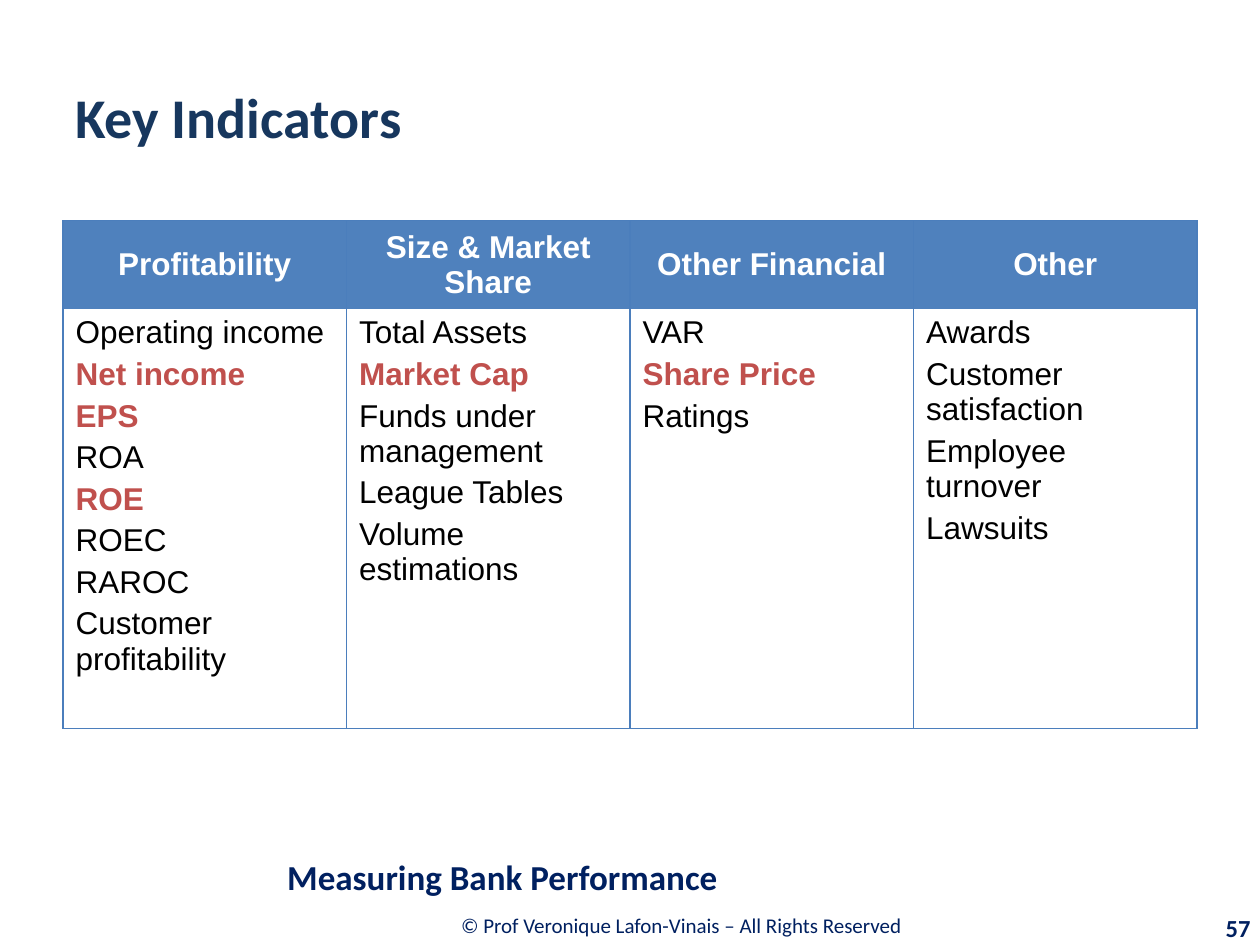
from lxml.etree import SubElement
from pptx import Presentation
from pptx.dml.color import RGBColor
from pptx.enum.text import MSO_ANCHOR, PP_ALIGN
from pptx.oxml.ns import qn
from pptx.util import Cm, Pt

COLORS = {
    "title": "17375E",
    "navy": "002060",
    "header": "4F81BD",
    "border": "4B7EBC",
    "accent": "C0504D",
    "black": "000000",
    "white": "FFFFFF",
}
NO_STYLE_NO_GRID = "{2D5ABB26-0587-4C30-8999-92F81FD0307C}"

INDICATORS = {
    "Profitability": ["Operating income", "Net income", "EPS", "ROA", "ROE",
                      "ROEC", "RAROC", "Customer profitability"],
    "Size & Market Share": ["Total Assets", "Market Cap",
                            "Funds under management", "League Tables",
                            "Volume estimations"],
    "Other Financial": ["VAR", "Share Price", "Ratings"],
    "Other": ["Awards", "Customer satisfaction", "Employee turnover",
              "Lawsuits"],
}
HIGHLIGHTED = {"Net income", "EPS", "ROE", "Market Cap", "Share Price"}


def rgb(name):
    return RGBColor.from_string(COLORS[name])


class SlideBuilder:
    heading_font = "Calibri"
    table_font = "Arial"
    table_size = 18

    def __init__(self, slide):
        self.slide = slide

    def format_run(self, p, font, size, color, bold):
        f = p.runs[0].font
        f.name, f.size, f.bold = font, Pt(size), bold
        f.color.rgb = rgb(color)

    def text(self, text, box, size, color="navy", bold=True,
             align=PP_ALIGN.LEFT):
        tb = self.slide.shapes.add_textbox(*(Cm(v) for v in box))
        tf = tb.text_frame
        tf.word_wrap = True
        tf.vertical_anchor = MSO_ANCHOR.MIDDLE
        tf.text = text
        p = tf.paragraphs[0]
        p.alignment = align
        self.format_run(p, self.heading_font, size, color, bold)

    def borders(self, cell, sides):
        """Draw the given sides, listed in schema order: L, R, T, B."""
        tcPr = cell._tc.get_or_add_tcPr()
        for i, side in enumerate(sides):
            ln = SubElement(tcPr, qn(f"a:ln{side}"), w=str(Pt(0.75)))
            fill = SubElement(ln, qn("a:solidFill"))
            SubElement(fill, qn("a:srgbClr"), val=COLORS["border"])
            tcPr.insert(i, ln)

    def header_cell(self, cell, text):
        cell.fill.solid()
        cell.fill.fore_color.rgb = rgb("header")
        cell.vertical_anchor = MSO_ANCHOR.MIDDLE
        cell.text = text
        p = cell.text_frame.paragraphs[0]
        p.alignment = PP_ALIGN.CENTER
        self.format_run(p, self.table_font, self.table_size, "white", True)
        self.borders(cell, "LRT")

    def list_cell(self, cell, items):
        cell.fill.background()
        tf = cell.text_frame
        tf.text = "\n".join(items)
        for i, p in enumerate(tf.paragraphs):
            if i:
                p.space_before = Pt(3.6)
            bold = p.text in HIGHLIGHTED
            self.format_run(p, self.table_font, self.table_size,
                            "accent" if bold else "black", bold)
        self.borders(cell, "LRB")

    def table(self, columns, left, top, width, row_heights):
        table = self.slide.shapes.add_table(
            len(row_heights), len(columns), Cm(left), Cm(top), Cm(width),
            Cm(sum(row_heights))).table
        table._tbl.tblPr.find(qn("a:tableStyleId")).text = NO_STYLE_NO_GRID
        table.horz_banding = False
        for row, height in zip(table.rows, row_heights):
            row.height = Cm(height)
        for col, (heading, items) in enumerate(columns.items()):
            self.header_cell(table.cell(0, col), heading)
            self.list_cell(table.cell(1, col), items)


def main():
    prs = Presentation()
    prs.slide_width, prs.slide_height = Cm(25.4), Cm(19.05)
    s = SlideBuilder(prs.slides.add_slide(prs.slide_layouts[6]))

    s.text("© Prof Veronique Lafon-Vinais – All Rights Reserved",
           (5.51, 18.16, 16.46, 0.99), 12, bold=False, align=PP_ALIGN.CENTER)
    s.text("Key Indicators", (1.27, 0.76, 22.86, 3.18), 32, "title")
    s.table(INDICATORS, 1.27, 4.45, 22.86, (1.67, 8.45))
    s.text("57", (22.89, 18.29, 2.57, 0.81), 14, align=PP_ALIGN.RIGHT)
    s.text("Measuring Bank Performance", (5.54, 17.07, 19.86, 1.19), 20)

    prs.save("out.pptx")


if __name__ == "__main__":
    main()
